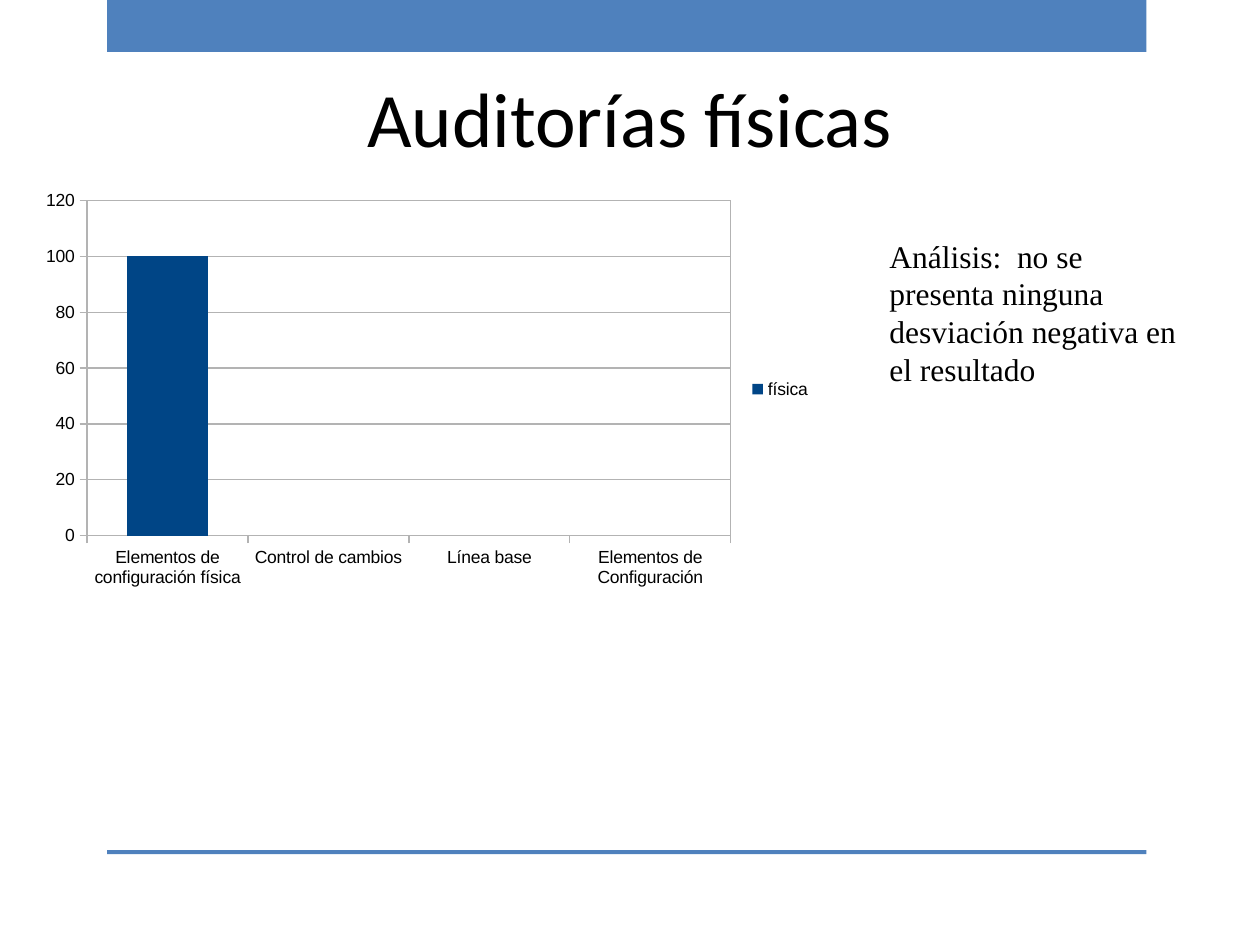
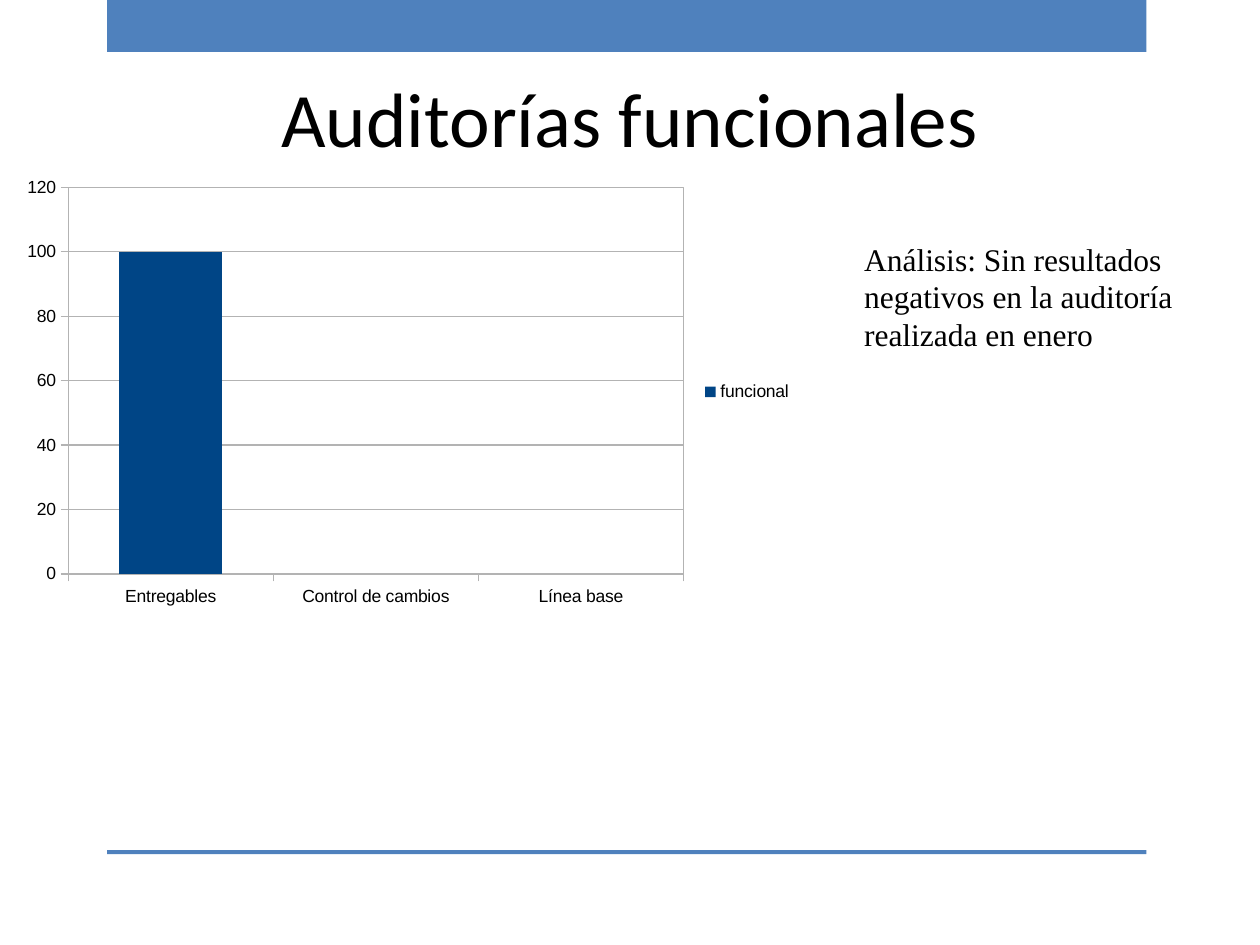
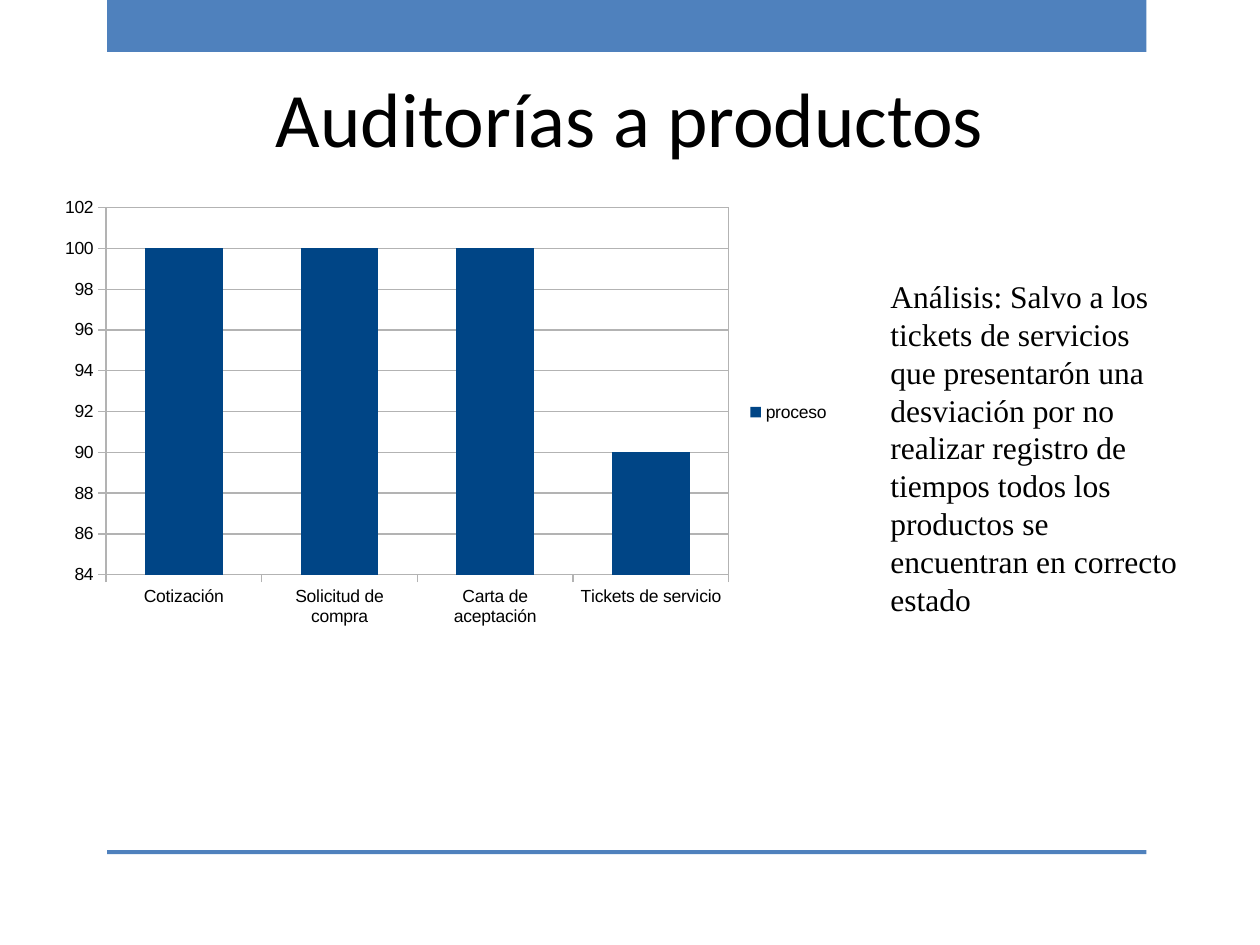
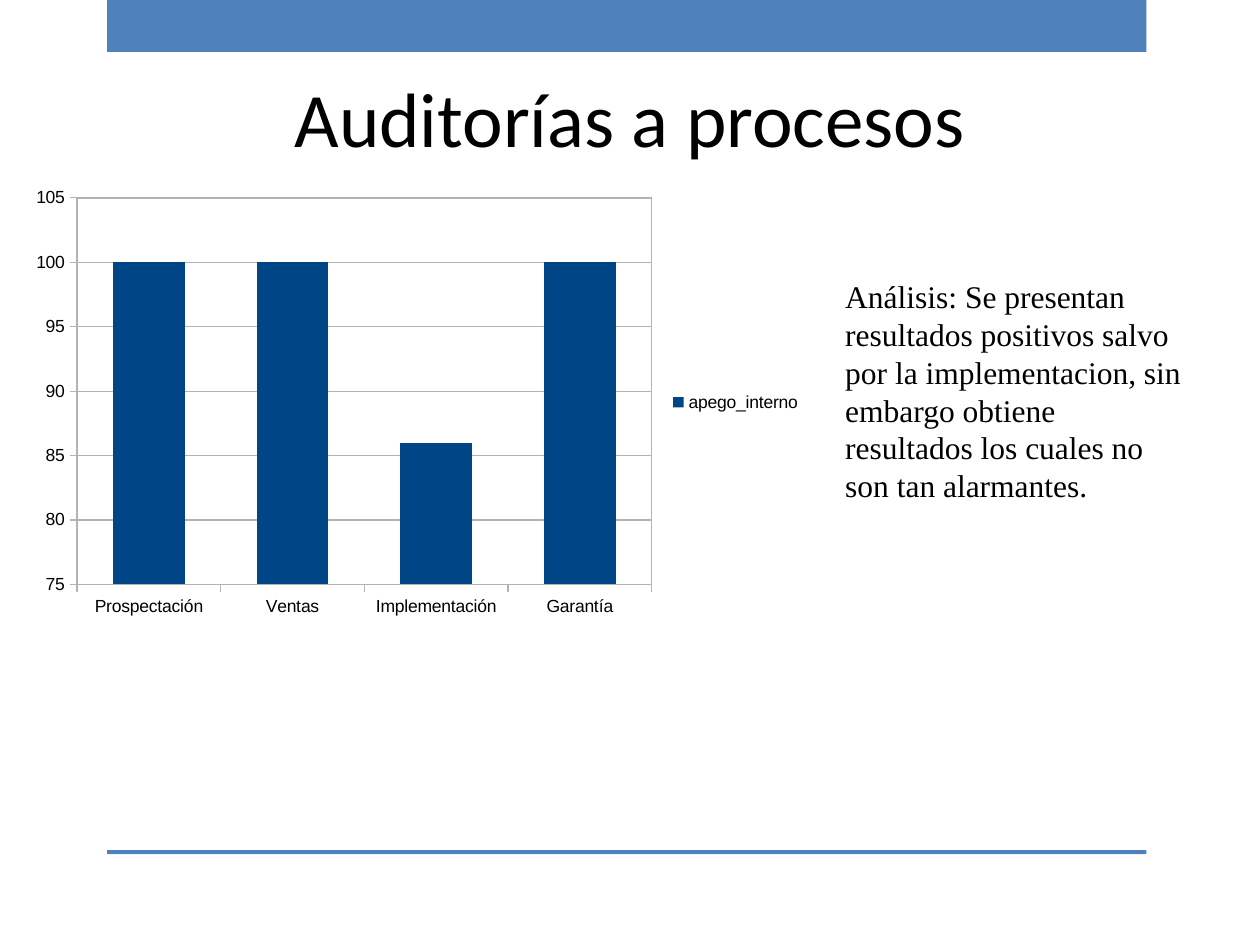
from dataclasses import dataclass

from lxml.etree import SubElement
from pptx import Presentation
from pptx.chart.data import CategoryChartData
from pptx.dml.color import RGBColor
from pptx.enum.chart import XL_CHART_TYPE as ChartType
from pptx.enum.chart import XL_LEGEND_POSITION as LegendPosition
from pptx.enum.chart import XL_TICK_MARK as TickMark
from pptx.enum.shapes import MSO_SHAPE as Preset
from pptx.enum.text import MSO_ANCHOR as Anchor
from pptx.enum.text import MSO_AUTO_SIZE as AutoSize
from pptx.enum.text import PP_ALIGN as Align
from pptx.oxml import parse_xml
from pptx.oxml.ns import nsdecls, qn
from pptx.util import Cm, Pt

BLACK = RGBColor(0x00, 0x00, 0x00)
BAND_BLUE = RGBColor(0x4F, 0x81, 0xBD)
BAR_BLUE = RGBColor(0x00, 0x45, 0x86)
GRID_GREY = RGBColor(0xB3, 0xB3, 0xB3)

TITLE_FONT, NOTE_FONT, CHART_FONT = "Calibri", "Times New Roman", "Arial"
TITLE_BOX = (1.27, 0.76, 22.86, 3.18)
BANDS = [(2.16, 0, 20.95, 1.05), (2.16, 17.14, 20.95, 0.08)]
NOTE_LINE = 0.76  # height of one line of analysis text, cm


@dataclass
class Audit:
    title: str
    series: str
    results: dict
    scale: tuple  # minimum, maximum, step
    chart_box: tuple
    analysis: str
    note_box: tuple
    lines_above: int


AUDITS = [
    Audit("Auditorías físicas", "física",
          {"Elementos de configuración física": 100, "Control de cambios": None,
           "Línea base": None, "Elementos de Configuración": None},
          (0, 120, 20), (0.61, 3.68, 16, 8.33),
          "Análisis:  no se presenta ninguna desviación negativa en el resultado",
          (17.68, 3.12, 6.35, 8.64), 2),
    Audit("Auditorías funcionales", "funcional",
          {"Entregables": 100, "Control de cambios": None, "Línea base": None},
          (0, 120, 20), (0.23, 3.4, 16, 9),
          "Análisis: Sin resultados negativos en la auditoría realizada en enero",
          (17.17, 3.94, 6.93, 7.87), 1),
    Audit("Auditorías a productos", "proceso",
          {"Cotización": 100, "Solicitud de compra": 100,
           "Carta de aceptación": 100, "Tickets de servicio": 90},
          (84, 102, 2), (0.99, 3.81, 16, 9),
          "Análisis: Salvo a los tickets de servicios que presentarón una "
          "desviación por no realizar registro de tiempos todos los productos "
          "se encuentran en correcto estado",
          (17.7, 3.94, 6.35, 8.64), 2),
    Audit("Auditorías a procesos", "apego_interno",
          {"Prospectación": 100, "Ventas": 100, "Implementación": 86, "Garantía": 100},
          (75, 105, 5), (0.41, 3.61, 16, 9),
          "Análisis: Se presentan resultados positivos salvo por la "
          "implementacion, sin embargo obtiene resultados los cuales no son "
          "tan alarmantes.",
          (16.79, 3.94, 7.34, 7.11), 2),
]


def lengths(box):
    return [Cm(value) for value in box]


def write_text(shape, text, *, font, size, color=BLACK, align=Align.LEFT,
               anchor=Anchor.TOP, top=0.13):
    frame = shape.text_frame
    frame.word_wrap = True
    frame.auto_size = AutoSize.NONE
    frame.vertical_anchor = anchor
    frame.margin_left = frame.margin_right = Cm(0.25)
    frame.margin_top, frame.margin_bottom = Cm(top), Cm(0.13)
    para = frame.paragraphs[0]
    para.alignment = align
    span = para.add_run()
    span.text = text
    span.font.name, span.font.size = font, Pt(size)
    span.font.color.rgb = color


def add_master_bands(deck, page):
    """Draw the bands and move them behind everything on the master."""
    tree = deck.slide_master.element.cSld.spTree
    for index, box in enumerate(BANDS):
        band = page.shapes.add_shape(Preset.RECTANGLE, *lengths(box))
        band.name = f"Band {index + 1}"
        band.shadow.inherit = False
        band.fill.solid()
        band.fill.fore_color.rgb = BAND_BLUE
        band.line.fill.background()
        band.element.nvSpPr.cNvPr.set("id", str(100 + index))
        tree.insert(2 + index, band.element)


def add_title(page, text):
    title = page.shapes.title
    title.left, title.top, title.width, title.height = lengths(TITLE_BOX)
    write_text(title, text, font=TITLE_FONT, size=44, align=Align.CENTER,
               anchor=Anchor.MIDDLE)


def add_analysis(page, text, box, lines_above):
    note = page.shapes.add_textbox(*lengths(box))
    write_text(note, text, font=NOTE_FONT, size=18,
               top=round(0.13 + lines_above * NOTE_LINE, 2))


def style_line(line):
    line.color.rgb = GRID_GREY
    line.width = Pt(0.75)


def frame_chart(chart):
    """White chart background and a grey outline round the plot."""
    space = chart.element
    background = parse_xml(
        f'<c:spPr {nsdecls("c", "a")}><a:solidFill><a:srgbClr val="FFFFFF"/>'
        '</a:solidFill><a:ln><a:noFill/></a:ln></c:spPr>')
    space.find(qn("c:chart")).addnext(background)
    plot_area = space.find(qn("c:chart")).find(qn("c:plotArea"))
    wall = SubElement(plot_area, qn("c:spPr"))
    SubElement(wall, qn("a:noFill"))
    outline = SubElement(wall, qn("a:ln"), w=str(Pt(0.75)))
    fill = SubElement(outline, qn("a:solidFill"))
    SubElement(fill, qn("a:srgbClr"), val=str(GRID_GREY))


def add_result_chart(page, audit):
    data = CategoryChartData()
    data.categories = list(audit.results)
    data.add_series(audit.series, list(audit.results.values()))
    chart = page.shapes.add_chart(
        ChartType.COLUMN_CLUSTERED, *lengths(audit.chart_box), data).chart
    chart.has_title = False
    chart.font.name, chart.font.size = CHART_FONT, Pt(10)
    chart.font.color.rgb = BLACK
    chart.has_legend = True
    chart.legend.position = LegendPosition.RIGHT
    chart.legend.include_in_layout = False

    # Bars
    plot = chart.plots[0]
    plot.gap_width = 100
    plot.vary_by_categories = False
    bars = plot.series[0].format
    bars.fill.solid()
    bars.fill.fore_color.rgb = BAR_BLUE

    # Axes
    for axis in (chart.category_axis, chart.value_axis):
        axis.major_tick_mark = TickMark.OUTSIDE
        axis.minor_tick_mark = TickMark.NONE
        style_line(axis.format.line)
    scale = chart.value_axis
    scale.minimum_scale, scale.maximum_scale, scale.major_unit = audit.scale
    scale.has_major_gridlines = True
    style_line(scale.major_gridlines.format.line)
    frame_chart(chart)


def add_audit_page(deck, audit):
    page = deck.slides.add_slide(deck.slide_layouts.get_by_name("Title Only"))
    add_title(page, audit.title)
    add_analysis(page, audit.analysis, audit.note_box, audit.lines_above)
    add_result_chart(page, audit)
    return page


def main():
    deck = Presentation()
    deck.slide_width, deck.slide_height = Cm(25.4), Cm(19.05)
    pages = [add_audit_page(deck, audit) for audit in AUDITS]
    add_master_bands(deck, pages[0])
    deck.save("out.pptx")


if __name__ == "__main__":
    main()
